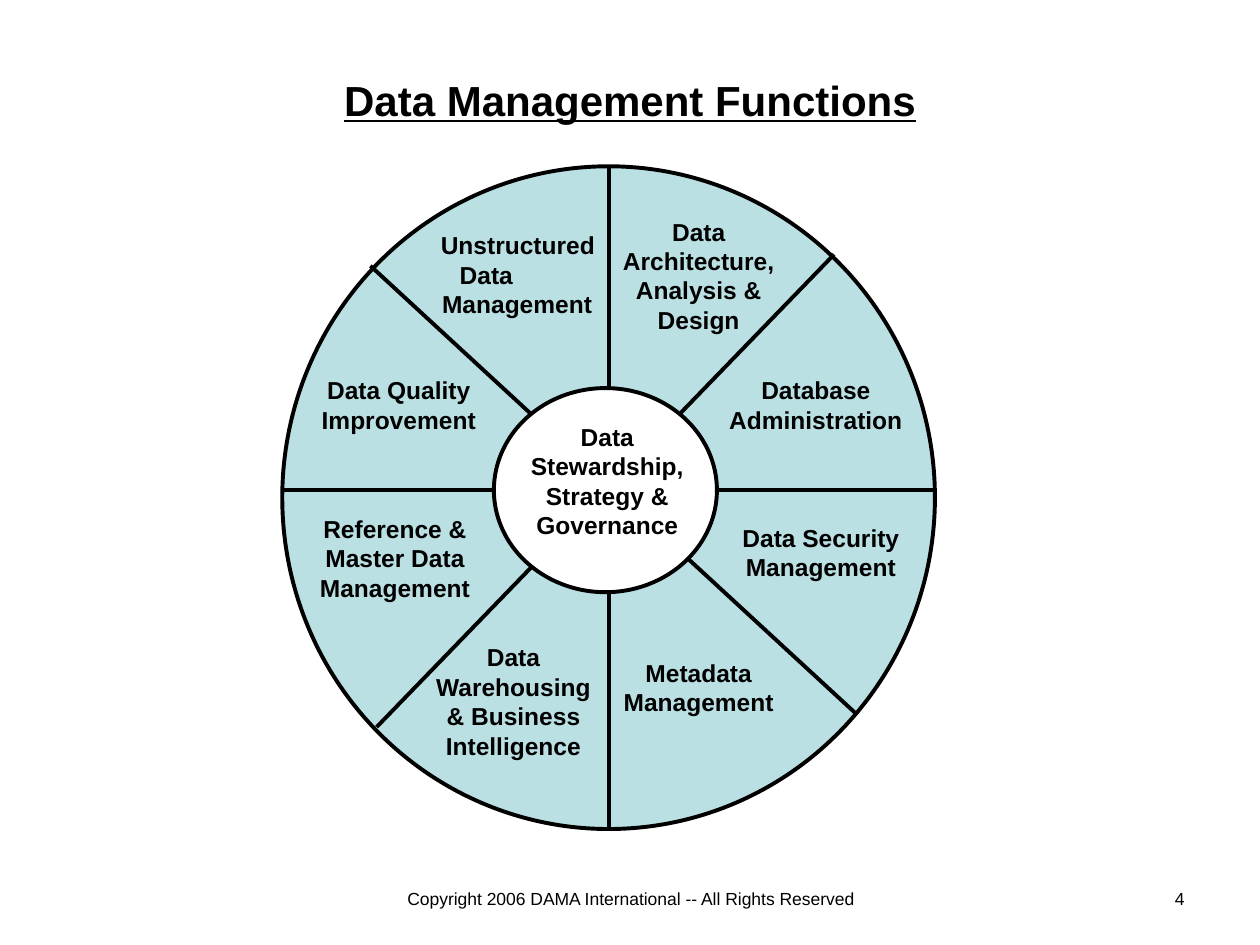
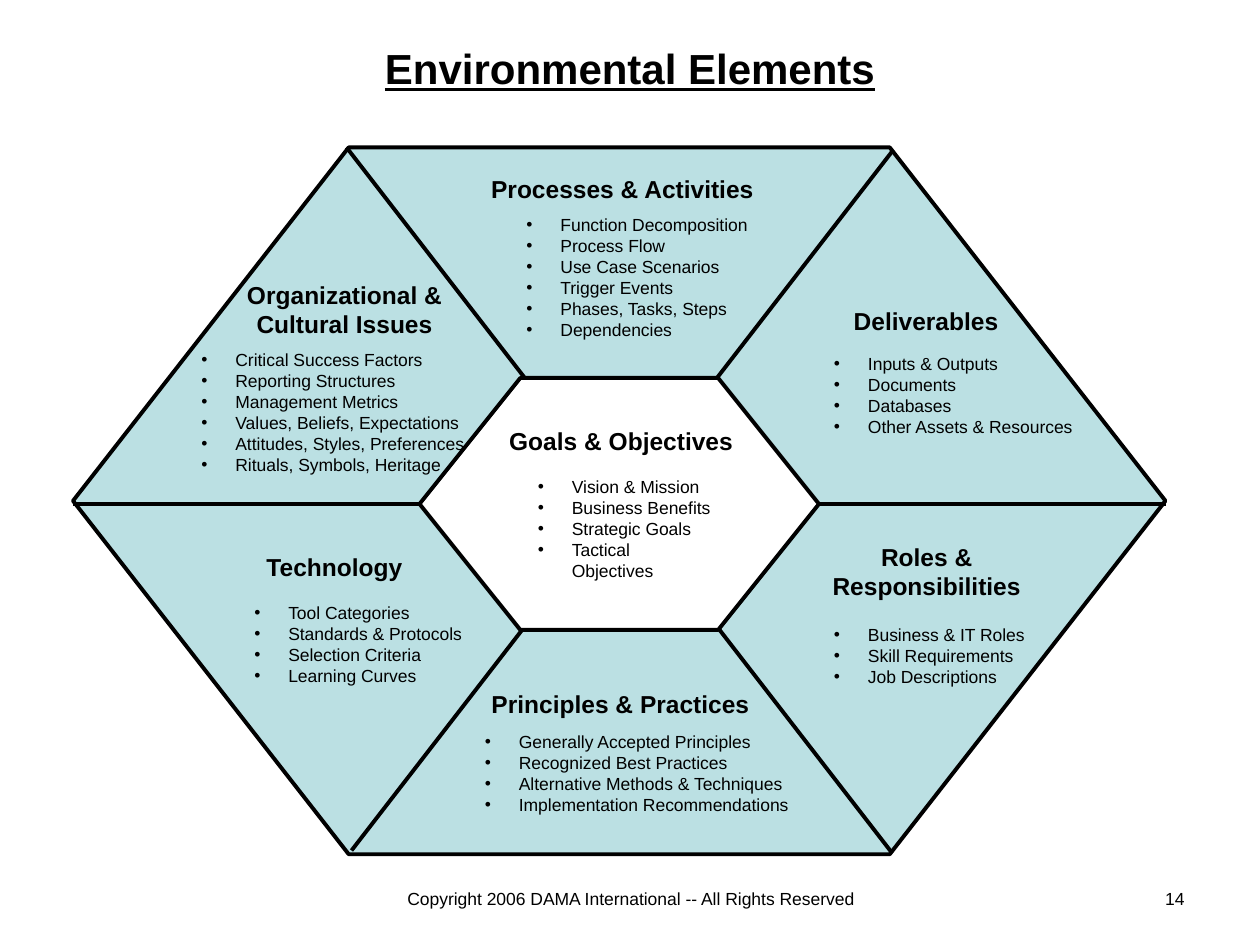
from dataclasses import dataclass

from lxml.etree import SubElement
from pptx import Presentation
from pptx.dml.color import RGBColor
from pptx.enum.shapes import MSO_CONNECTOR, MSO_SHAPE
from pptx.enum.text import MSO_ANCHOR, MSO_AUTO_SIZE, PP_ALIGN
from pptx.oxml.ns import qn
from pptx.util import Pt

SCALE = 9144


@dataclass(frozen=True)
class Theme:
    ink: RGBColor = RGBColor(0x00, 0x00, 0x00)
    panel: RGBColor = RGBColor(0xBB, 0xE0, 0xE3)
    core: RGBColor = RGBColor(0xFF, 0xFF, 0xFF)
    face: str = "Arial"
    title_size: int = 24
    heading_size: int = 14
    small_size: int = 10
    stroke: float = 2.25
    bullet_hang: int = 27


THEME = Theme()
TITLE = {"size": Pt(THEME.title_size), "bold": True, "underline": True}
HEADING = {"size": Pt(THEME.heading_size), "bold": True}
SMALL = {"size": Pt(THEME.small_size)}
COPYRIGHT = "Copyright 2006 DAMA International -- All Rights Reserved"

WHEEL_BOX = (224, 132, 518, 526)
WHEEL_HUB = (168, 176, 177, 162)
SPOKES = [
    (518, 257, 0, 257),
    (456, 435, 70, 79),
    (75, 445, 438, 70),
    (259, 526, 259, 0),
]
WHEEL_LABELS = [
    ("Database Administration", (343, 161, 161, 57)),
    ("Data Security Management", (343, 278, 169, 57)),
    ("Data Architecture, Analysis & Design", (260, 35, 141, 104)),
    ("Metadata Management", (260, 385, 141, 57)),
    ("Data Warehousing & Business Intelligence", (109, 373, 149, 104)),
    ("Reference & Master Data Management", (18, 271, 143, 80)),
    ("Data Quality Improvement", (17, 161, 151, 57)),
    ("Data Stewardship, Strategy & Governance", (181, 198, 154, 104)),
]
UNSTRUCTURED_BOX = (106, 46, 161, 80)
UNSTRUCTURED_LINES = [("Unstructured", 10), ("Data", 25), ("Management", 11)]

HEXAGON_BOX = (58, 117, 867, 561)
HEXAGON_CORE = (275, 183, 317, 200)
DIVIDERS = [
    (867, 283, 0, 283),
    (217, 0, 650, 560),
    (221, 558, 651, 2),
]
ELEMENTS = [
    ("Roles & Responsibilities", (565, 308, 225, 57), (567, 373, 208, 60), 27,
     ["Business & IT Roles", "Skill Requirements", "Job Descriptions"]),
    ("Deliverables", (554, 121, 246, 34), (567, 158, 258, 77), 27,
     ["Inputs & Outputs", "Documents", "Databases", "Other Assets & Resources"]),
    ("Principles & Practices", (309, 425, 251, 34), (317, 458, 267, 77), 0,
     ["Generally Accepted Principles", "Recognized Best Practices",
      "Alternative Methods & Techniques", "Implementation Recommendations"]),
    ("Organizational & Cultural Issues", (98, 100, 235, 57), (92, 155, 283, 110), 0,
     ["Critical Success Factors", "Reporting Structures", "Management Metrics",
      "Values, Beliefs, Expectations", "Attitudes, Styles, Preferences",
      "Rituals, Symbols, Heritage"]),
    ("Processes & Activities", (292, 16, 288, 34), (350, 48, 200, 110), 0,
     ["Function Decomposition", "Process Flow", "Use Case Scenarios",
      "Trigger Events", "Phases, Tasks, Steps", "Dependencies"]),
    ("Technology", (66, 316, 283, 34), (134, 356, 267, 77), 0,
     ["Tool Categories", "Standards & Protocols", "Selection Criteria",
      "Learning Curves"]),
    ("Goals & Objectives", (312, 216, 246, 34), (359, 256, 158, 77), 0,
     ["Vision & Mission", "Business Benefits", "Strategic Goals",
      "Tactical Objectives"]),
]


def px(*lengths):
    return [length * SCALE for length in lengths]


def within(region, box):
    return (region[0] + box[0], region[1] + box[1], box[2], box[3])


def style_font(font, style):
    font.name = THEME.face
    font.color.rgb = THEME.ink
    for name, value in style.items():
        setattr(font, name, value)


def indent_para(para, left, hang=0):
    properties = para._p.get_or_add_pPr()
    for name, value in {"marL": left, "indent": -hang}.items():
        properties.set(name, str(value * SCALE))
    return properties


def add_paras(page, box, lines, style, align):
    shape = page.shapes.add_textbox(*px(*box))
    frame = shape.text_frame
    frame.word_wrap = True
    paras = []
    for index, line in enumerate(lines):
        para = frame.add_paragraph() if index else frame.paragraphs[0]
        para.alignment = align
        span = para.add_run()
        span.text = line
        style_font(span.font, style)
        paras.append(para)
    return paras


def add_label(page, box, text, style=HEADING, align=PP_ALIGN.CENTER):
    add_paras(page, box, [text], style, align)


def add_bullets(page, box, lines, inset):
    for para in add_paras(page, box, lines, SMALL, PP_ALIGN.LEFT):
        left = inset + THEME.bullet_hang
        properties = indent_para(para, left, THEME.bullet_hang)
        SubElement(properties, qn("a:buFont")).set("typeface", THEME.face)
        SubElement(properties, qn("a:buChar")).set("char", "•")


def add_panel(page, kind, box, fill, bevel=None):
    shape = page.shapes.add_shape(kind, *px(*box))
    shape.shadow.inherit = False
    shape.fill.solid()
    shape.fill.fore_color.rgb = fill
    shape.line.color.rgb = THEME.ink
    shape.line.width = Pt(THEME.stroke)
    if bevel is not None:
        shape.adjustments[0] = bevel


def add_dividers(page, region, dividers):
    left, top = region[:2]
    for x1, y1, x2, y2 in dividers:
        ends = px(left + x1, top + y1, left + x2, top + y2)
        line = page.shapes.add_connector(MSO_CONNECTOR.STRAIGHT, *ends)
        line.line.color.rgb = THEME.ink
        line.line.width = Pt(THEME.stroke)
        SubElement(line._element.spPr, qn("a:effectLst"))


def add_page(deck, title, title_top, number):
    page = deck.slides.add_slide(deck.slide_layouts[5])
    shape = page.shapes.title
    box = px(50, title_top, 900, 58)
    for name, value in zip(("left", "top", "width", "height"), box):
        setattr(shape, name, value)
    frame = shape.text_frame
    frame.text = title
    frame.auto_size = MSO_AUTO_SIZE.NONE
    frame.vertical_anchor = MSO_ANCHOR.MIDDLE
    para = frame.paragraphs[0]
    para.alignment = PP_ALIGN.CENTER
    style_font(para.runs[0].font, TITLE)
    add_label(page, (717, 700, 233, 35), str(number), SMALL, PP_ALIGN.RIGHT)
    add_label(page, (292, 700, 417, 35), COPYRIGHT, SMALL)
    return page


def add_wheel(page, region):
    add_panel(page, MSO_SHAPE.OVAL, region, THEME.panel)
    add_dividers(page, region, SPOKES)
    add_panel(page, MSO_SHAPE.OVAL, within(region, WHEEL_HUB), THEME.core)
    for text, box in WHEEL_LABELS:
        add_label(page, within(region, box), text)
    lines = [text for text, _ in UNSTRUCTURED_LINES]
    paras = add_paras(page, within(region, UNSTRUCTURED_BOX), lines, HEADING,
                      PP_ALIGN.LEFT)
    for para, (_, left) in zip(paras, UNSTRUCTURED_LINES):
        indent_para(para, left)


def add_hexagon(page, region):
    add_panel(page, MSO_SHAPE.HEXAGON, region, THEME.panel, 0.39)
    add_dividers(page, region, DIVIDERS)
    add_panel(page, MSO_SHAPE.HEXAGON, within(region, HEXAGON_CORE), THEME.core, 0.4)
    for heading, heading_box, list_box, inset, lines in ELEMENTS:
        add_label(page, within(region, heading_box), heading)
        add_bullets(page, within(region, list_box), lines, inset)


def main():
    deck = Presentation()
    deck.slide_width, deck.slide_height = px(1000, 750)
    add_wheel(add_page(deck, "Data Management Functions", 50, 4), WHEEL_BOX)
    add_hexagon(add_page(deck, "Environmental Elements", 25, 14), HEXAGON_BOX)
    deck.save("out.pptx")


if __name__ == "__main__":
    main()
